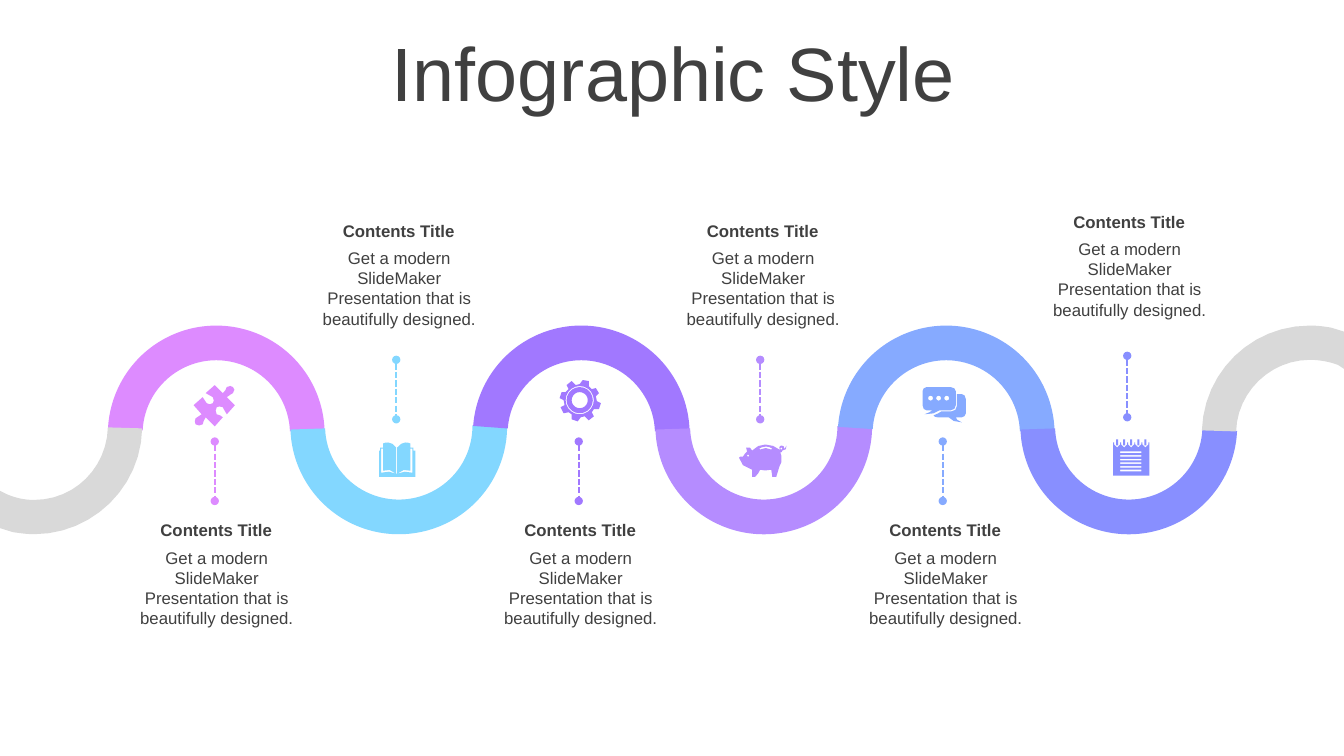
import math
import pptx
import pptx.dml.color
import pptx.enum.dml
import pptx.enum.shapes
import pptx.enum.text
import pptx.oxml
import pptx.oxml.ns
import pptx.util

PX = 9144
RGBColor = pptx.dml.color.RGBColor
INK = RGBColor(0x40, 0x40, 0x40)
GREY = RGBColor(0xD9, 0xD9, 0xD9)
PINK = RGBColor(0xDD, 0x8B, 0xFF)
SKY = RGBColor(0x83, 0xD7, 0xFF)
VIOLET = RGBColor(0xA1, 0x78, 0xFF)
LILAC = RGBColor(0xB5, 0x8C, 0xFF)
BLUE = RGBColor(0x86, 0xAA, 0xFF)
INDIGO = RGBColor(0x88, 0x8F, 0xFF)

PUZZLE = """M231,384 C233,385,233,388,231,390 C230,392,227,391,225,394 L233,402 L225,411
C222,408,223,406,221,404 C219,403,216,403,215,404 C214,406,213,409,215,411 C218,413,219,411,221,414
L213,423 L204,414 C201,417,203,418,201,421 C199,423,196,422,194,421 C193,419,193,417,194,415
C196,412,198,414,200,411 L192,402 L201,394 C204,396,202,398,205,400 C207,402,209,401,211,400
C212,399,213,396,211,394 C208,391,207,393,204,390 L213,382 L221,390 C224,388,223,387,225,384
C227,382,230,383,231,384"""
BOOK = """M393,470 L394,470 C400,468,403,467,409,469 L409,445 L407,445 L407,467
C403,465,398,466,394,470 L394,444 C397,441,399,439,402,439 C404,439,405,439,407,440 L407,444
L410,444 L410,447 L412,447 L412,473 L376,473 L376,447 L377,447 L377,444 L380,444 L380,440
C382,439,383,439,385,439 C388,439,391,441,393,444 L393,470 C389,466,384,465,380,467 L380,445
L378,445 L378,469 C384,467,388,468,393,470"""
GEAR = """O575,397,8 O575,397,13 O575,397,14
M584,378 L584,383 L587,386 L591,385 L594,390 L591,393 L592,398
L596,400 L594,406 L589,406 L587,409 L589,413 L584,417 L580,413
L576,414 L573,418 L567,416 L567,411 L564,409 L559,410 L556,404
L560,402 L559,397 L555,395 L557,389 L561,389 L564,386 L562,382
L567,378 L571,382 L575,381 L578,377"""
PIG = """O742,452,1 O775,445,1
M760,443 C757,443,755,444,753,445 L754,446 C757,444,762,444,765,446 L766,445 C764,444,762,443,760,443
M759,441 C764,441,770,443,773,446 L774,448 C774,446,773,446,773,444 C773,443,774,442,775,442
C777,442,778,443,778,445 C778,445,778,445,777,446 C778,445,779,446,780,442 C781,445,779,447,776,447
C776,448,775,449,774,449 L775,452 C776,456,775,461,773,463 C772,467,771,469,770,473 L766,473
C766,470,765,468,765,466 C761,467,756,467,754,466 C753,469,751,471,749,473 L746,473 L746,466
C741,463,731,461,733,454 C733,453,735,453,737,453 C738,451,739,450,741,448 C741,447,740,444,740,444
C744,442,744,445,746,447 C749,443,755,441,759,441"""
CHAT = """O923,395,2.5 O931,395,2.5 O939,395,2.5
M949,391 L954,391 C956,391,958,393,958,396 L958,410 C958,412,956,414,954,414 L948,414
C949,416,949,417,954,419 C946,418,945,418,941,414 L930,414 C928,414,926,413,926,412
C929,411,931,410,934,408 L944,408 C947,408,949,406,949,403
M919,384 L943,384 C946,384,948,386,948,388 L948,402 C948,405,946,407,943,407 L932,407
C927,410,925,411,917,411 C922,409,922,409,925,407 L919,407 C917,407,915,405,915,402 L915,388
C915,386,917,384,919,384"""

RING_CENTRES = range(1108, 1137, 7)
NOTEPAD = "M1104,439"
for x in RING_CENTRES:
    NOTEPAD += f" L{x - 3},439 L{x - 3},441 C{x - 3},445,{x + 3},445,{x + 3},441 L{x + 3},439"
NOTEPAD += " L1140,439 L1140,472 L1104,472"
for x in RING_CENTRES:
    NOTEPAD += f" M{x - 1},436 L{x + 1},436 L{x + 1},442 L{x - 1},442"
for row in range(6):
    y = 448 + 3.6 * row
    NOTEPAD += f" M1111,{y} L1132,{y} L1132,{y + 1.6} L1111,{y + 1.6}"

ROAD_START = """M107,424 L141,425 C140,483,92,530,34,530 C27,530,20,529,13,528 L0,524 L0,487 L6,490
C15,494,24,496,34,496 C74,496,106,464,107,424"""
ROAD_END = """M1299,323 C1307,323,1314,324,1320,325 L1333,329 L1333,366 L1327,362
C1319,359,1309,357,1299,357 C1260,357,1227,389,1226,428 L1192,427 C1194,369,1241,323,1299,323"""

STOPS = [
    (PINK, 109.58, PUZZLE, 121, 511, 188, 213, 438, 497),
    (SKY, 107.75, BOOK, 302, 214, 188, 393, 357, 416),
    (VIOLET, 110.53, GEAR, 482, 511, 188, 574, 438, 497),
    (LILAC, 108.05, PIG, 663, 214, 188, 754, 357, 416),
    (BLUE, 110.26, CHAT, 844, 511, 188, 935, 438, 497),
    (INDIGO, 109.61, NOTEPAD, 1024, 205, 193, 1118, 353, 414),
]

deck = pptx.Presentation()
deck.slide_width = 1333 * PX
deck.slide_height = 750 * PX
page = deck.slides.add_slide(deck.slide_layouts[6])


def add_text(text, left, top, width, height, size, bold=False):
    box = page.shapes.add_textbox(left * PX, top * PX, width * PX, height * PX)
    frame = box.text_frame
    frame.word_wrap = True
    para = frame.paragraphs[0]
    para.text = text
    para.alignment = pptx.enum.text.PP_ALIGN.CENTER
    para.font.name = "Arial"
    para.font.size = pptx.util.Pt(size)
    para.font.bold = bold
    para.font.color.rgb = INK
    return frame


def add_outline(drawing, colour, steps):
    contours = []
    for segment in drawing.split():
        values = [float(number) * PX for number in segment[1:].split(",")]
        if segment[0] == "M":
            contours.append([tuple(values)])
        elif segment[0] == "L":
            contours[-1].append(tuple(values))
        elif segment[0] == "O":
            x, y, radius = values
            corners = 20 if radius > 5 * PX else 8
            angles = [math.tau * corner / corners for corner in range(corners)]
            contours.append([(x + radius * math.cos(a), y + radius * math.sin(a)) for a in angles])
        else:
            x, y = contours[-1][-1]
            x1, y1, x2, y2, x3, y3 = values
            for step in range(1, steps + 1):
                t = step / steps
                u = 1 - t
                a, b, c, d = u ** 3, 3 * u * u * t, 3 * u * t * t, t ** 3
                contours[-1].append((a * x + b * x1 + c * x2 + d * x3, a * y + b * y1 + c * y2 + d * y3))
    builder = page.shapes.build_freeform(*contours[0][0])
    builder.add_line_segments(contours[0][1:])
    for contour in contours[1:]:
        builder.move_to(*contour[0])
        builder.add_line_segments(contour[1:])
    shape = builder.convert_to_shape()
    shape.shadow.inherit = False
    shape.fill.solid()
    shape.fill.fore_color.rgb = colour
    shape.line.fill.background()


title = add_text("Infographic Style", 35, 37, 1266, 79, 54)
title.vertical_anchor = pptx.enum.text.MSO_ANCHOR.MIDDLE
title.paragraphs[0].line_spacing = 0.9

for index, (colour, start, icon, left, top, width, line_x, line_top, line_bottom) in enumerate(STOPS):
    dips = index % 2 == 1
    arc = page.shapes.add_shape(
        pptx.enum.shapes.MSO_SHAPE.BLOCK_ARC,
        (107 + 181 * index) * PX, (315 if dips else 323) * PX, 215 * PX, 215 * PX)
    arc.rotation = 180 if dips else 0
    arc.adjustments[0] = start
    arc.adjustments[1] = 214.84
    arc.adjustments[2] = 0.16
    arc.shadow.inherit = False
    arc.fill.solid()
    arc.fill.fore_color.rgb = colour
    arc.line.fill.background()

    add_text("Get a modern SlideMaker Presentation that is beautifully designed.",
             left, top + 27, width, 91, 12)
    add_text("Contents Title", left - 1, top, width + 1, 30, 12, True)

    link = page.shapes.add_connector(
        pptx.enum.shapes.MSO_CONNECTOR.STRAIGHT,
        line_x * PX, line_top * PX, line_x * PX, line_bottom * PX)
    link.line.color.rgb = colour
    link.line.width = pptx.util.Pt(1.5)
    link.line.dash_style = pptx.enum.dml.MSO_LINE.SQUARE_DOT
    properties = link._element.spPr
    stroke = properties.find(pptx.oxml.ns.qn("a:ln"))
    for end in ("a:headEnd", "a:tailEnd"):
        stroke.append(pptx.oxml.parse_xml(f'<{end} {pptx.oxml.ns.nsdecls("a")} type="oval"/>'))
    properties.append(pptx.oxml.parse_xml(f'<a:effectLst {pptx.oxml.ns.nsdecls("a")}/>'))

    add_outline(icon, colour, 2)

add_outline(ROAD_START, GREY, 12)
add_outline(ROAD_END, GREY, 12)

deck.save("out.pptx")
